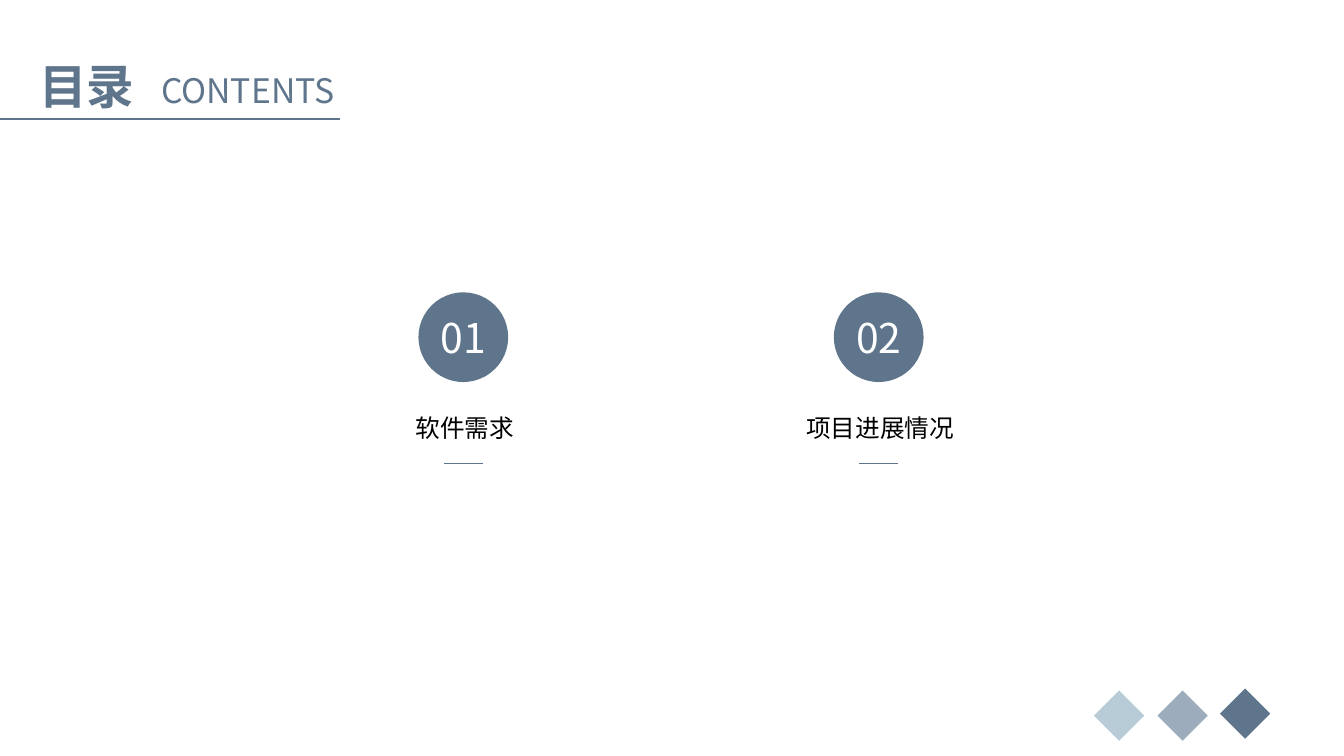
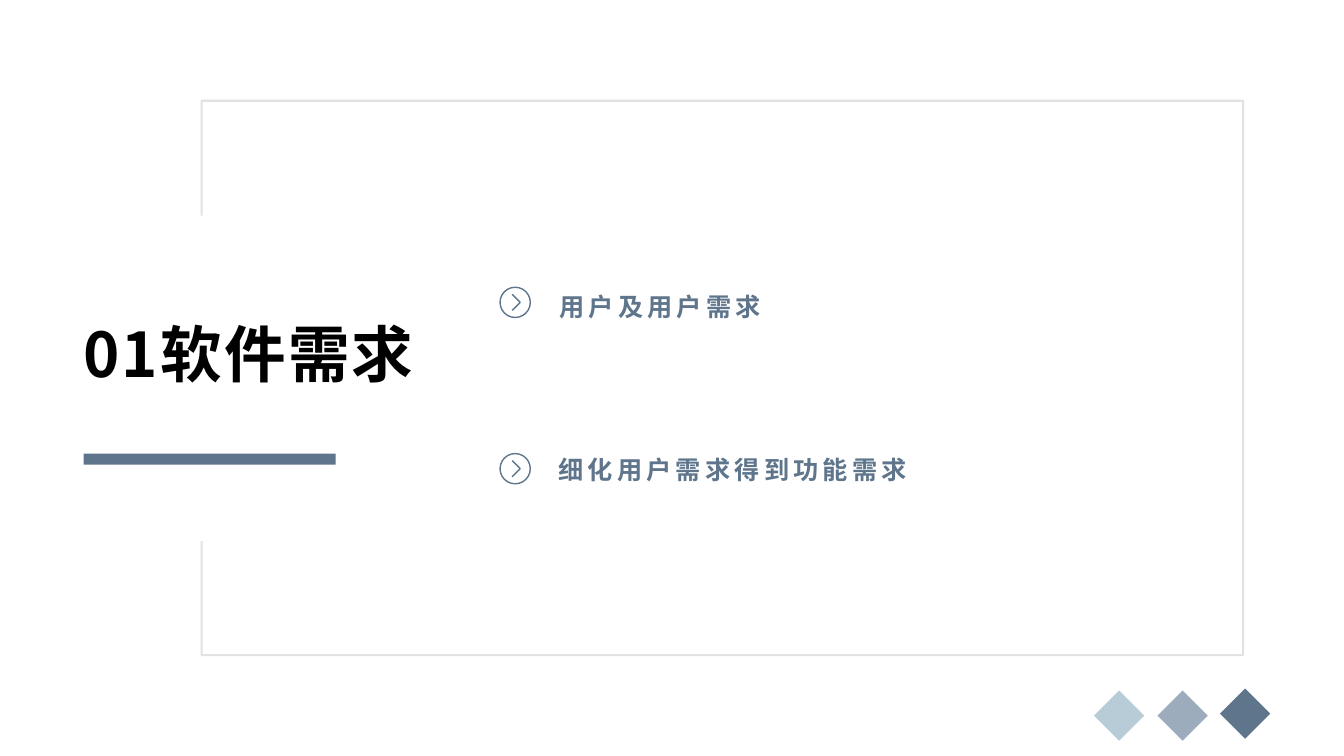
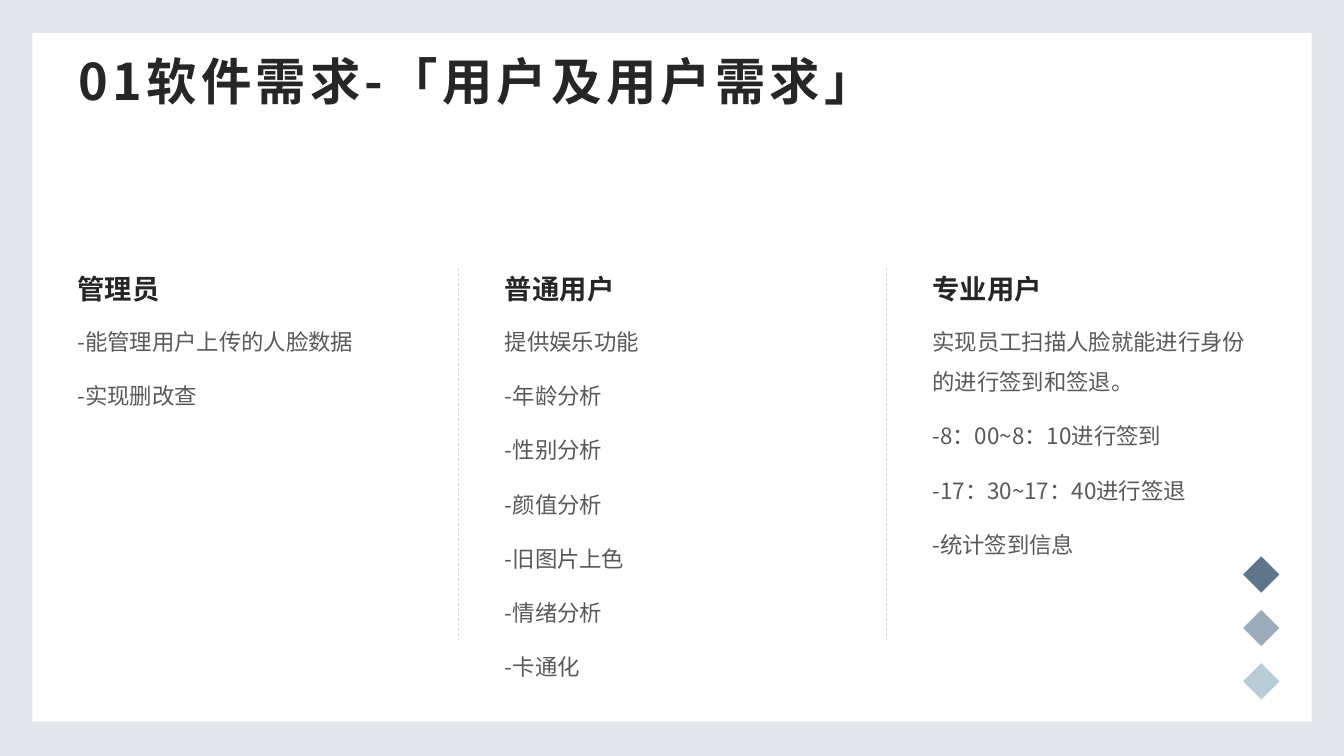
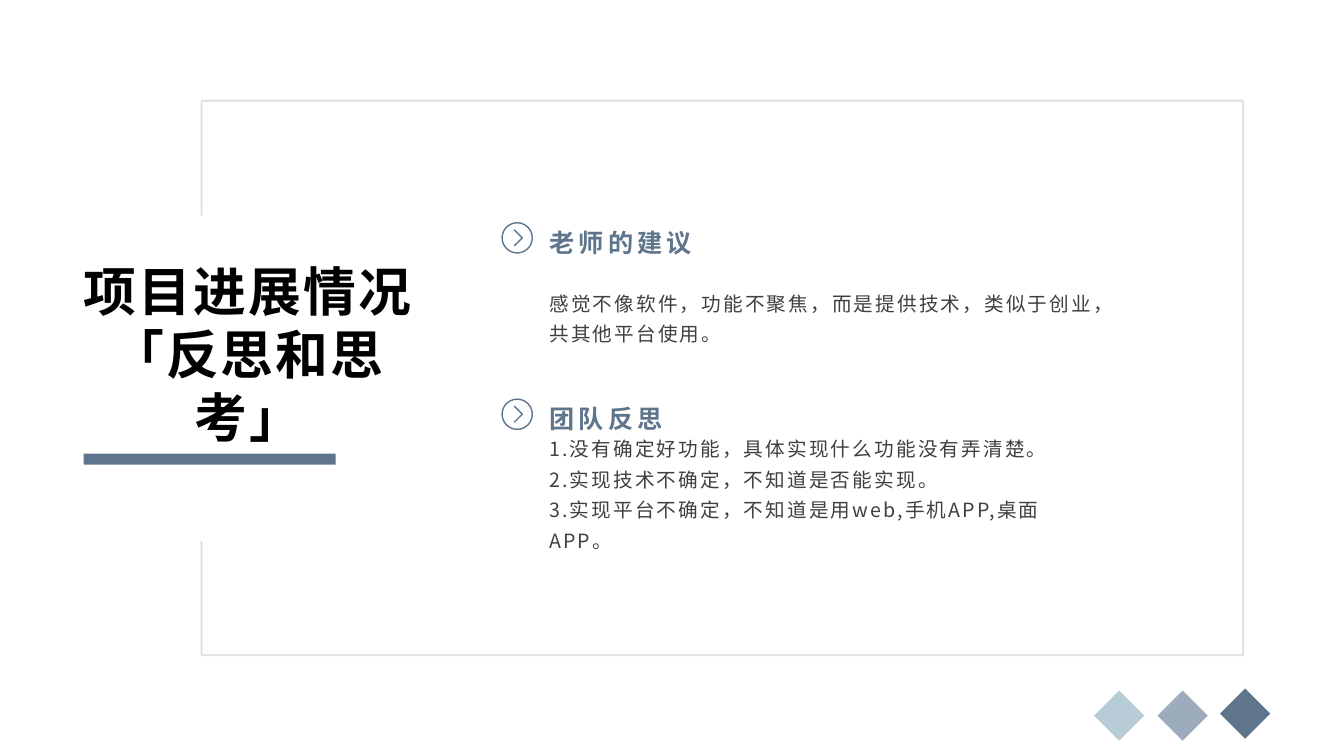
from lxml.etree import SubElement
from pptx import Presentation
from pptx.dml.color import RGBColor
from pptx.enum.dml import MSO_LINE
from pptx.enum.lang import MSO_LANGUAGE_ID
from pptx.enum.shapes import MSO_CONNECTOR, MSO_SHAPE
from pptx.enum.text import MSO_ANCHOR, PP_ALIGN
from pptx.oxml.ns import qn
from pptx.util import Pt

SCALE = 9144  # EMU per px, 100 px to the inch
FONT = "Noto Sans CJK SC"

COLOURS = {
    "slate": "5E758C",
    "mist": "9CACBC",
    "ice": "B7CCD6",
    "rule": "D9D9D9",
    "backdrop": "E2E6EA",
    "white": "FFFFFF",
    "black": "000000",
    "ink": "262626",
    "text": "404040",
    "soft": "595959",
}

# Font values, colour and letter spacing (hundredths of a point)
STYLES = {
    "contents": ({"size": Pt(34), "bold": True}, "slate", 0),
    "contents_latin": ({"size": Pt(24.1)}, "slate", 0),
    "number": ({"size": Pt(29.2)}, "white", 0),
    "label": ({"size": Pt(17.6)}, "black", 0),
    "section": ({"size": Pt(44), "bold": True}, "black", 160),
    "section_long": ({"size": Pt(37.7), "bold": True}, "black", 160),
    "point": ({"size": Pt(18), "bold": True}, "slate", 300),
    "detail": ({"size": Pt(14)}, "text", 150),
    "title": ({"size": Pt(36), "bold": True}, "ink", 300),
    "column_head": ({"size": Pt(19.5), "bold": True}, "ink", 0),
    "column_text": ({"size": Pt(16)}, "soft", 0),
}

CONTENTS = [("01", "软件需求"), ("02", "项目进展情况")]

COLUMNS = [
    ("管理员", ["-能管理用户上传的人脸数据", "-实现删改查"]),
    ("普通用户", ["提供娱乐功能", "-年龄分析", "-性别分析", "-颜值分析",
              "-旧图片上色", "-情绪分析", "-卡通化"]),
    ("专业用户", ["实现员工扫描人脸就能进行身份的进行签到和签退。",
              "-8：00~8：10进行签到", "-17：30~17：40进行签退",
              "-统计签到信息"]),
]

REFLECTIONS = [
    ("老师的建议",
     ["感觉不像软件，功能不聚焦，而是提供技术，类似于创业，共其他平台使用。"]),
    ("团队反思",
     ["1.没有确定好功能，具体实现什么功能没有弄清楚。",
      "2.实现技术不确定，不知道是否能实现。",
      "3.实现平台不确定，不知道是用web,手机APP,桌面APP。"]),
]


def px(*values):
    return [value * SCALE for value in values]


def colour(name):
    return RGBColor.from_string(COLOURS[name])


def add_page(deck, backdrop="white"):
    page = deck.slides.add_slide(deck.slide_layouts[6])
    page.background.fill.solid()
    page.background.fill.fore_color.rgb = colour(backdrop)
    return page


# Text

def write(shape, lines, style, align=PP_ALIGN.LEFT, anchor=MSO_ANCHOR.MIDDLE,
          insets=(10, 5), leading=1.0, gap=0):
    frame = shape.text_frame
    side, end = px(*insets)
    settings = {"word_wrap": True, "vertical_anchor": anchor,
                "margin_left": side, "margin_right": side,
                "margin_top": end, "margin_bottom": end}
    for name, value in settings.items():
        setattr(frame, name, value)
    font_values, colour_name, spacing = STYLES[style]
    for index, line in enumerate(lines):
        para = frame.add_paragraph() if index else frame.paragraphs[0]
        para.alignment = align
        para.line_spacing = leading
        para.space_before = Pt(gap if index else 0)
        span = para.add_run()
        span.text = line
        for name, value in font_values.items():
            setattr(span.font, name, value)
        span.font.name = FONT
        span.font.language_id = MSO_LANGUAGE_ID.SIMPLIFIED_CHINESE
        span.font.color.rgb = colour(colour_name)
        properties = span._r.get_or_add_rPr()
        SubElement(properties, qn("a:ea")).set("typeface", FONT)
        if spacing:
            properties.set("spc", str(spacing))


def add_text(page, place, lines, style, **layout):
    box = page.shapes.add_textbox(*px(*place))
    write(box, lines, style, **layout)


# Shapes and lines

def add_block(page, kind, place, fill):
    shape = page.shapes.add_shape(kind, *px(*place))
    shape.shadow.inherit = False
    shape.fill.solid()
    shape.fill.fore_color.rgb = colour(fill)
    shape.line.fill.background()
    return shape


def outline(shape, line_colour, weight):
    shape.shadow.inherit = False
    shape.fill.background()
    shape.line.color.rgb = colour(line_colour)
    shape.line.width = Pt(weight)


def add_outline(page, points, line_colour, weight):
    builder = page.shapes.build_freeform(*points[0], scale=SCALE)
    builder.add_line_segments(points[1:], close=False)
    shape = builder.convert_to_shape()
    outline(shape, line_colour, weight)
    return shape


def add_line(page, start, end, line_colour, weight, dash=None):
    line = page.shapes.add_connector(MSO_CONNECTOR.STRAIGHT,
                                     *px(*start, *end))
    line.line.color.rgb = colour(line_colour)
    line.line.width = Pt(weight)
    if dash:
        line.line.dash_style = dash
    SubElement(line._element.spPr, qn("a:effectLst"))


def add_diamonds(page, corners, size):
    for corner, fill in zip(corners, ("ice", "mist", "slate")):
        add_block(page, MSO_SHAPE.DIAMOND, (*corner, size, size), fill)


def add_corner_diamonds(page):
    add_diamonds(page, [(1085, 685), (1148, 685), (1210, 683)], 50)


# Elements of the section pages

def add_arrow_icon(page, left, top):
    ring = page.shapes.add_shape(MSO_SHAPE.OVAL, *px(left, top, 30, 30))
    outline(ring, "slate", 1)
    chevron = [(left + 12, top + 7), (left + 20, top + 15),
               (left + 12, top + 23)]
    add_outline(page, chevron, "slate", 1)


def add_point(page, icon, head, text):
    add_arrow_icon(page, *icon)
    add_text(page, (*head, 567, 50), [text], "point", leading=1.3)


def add_section_page(deck, title, style):
    page = add_page(deck)
    add_corner_diamonds(page)
    add_block(page, MSO_SHAPE.RECTANGLE, (83, 450, 250, 11), "slate")
    frame = add_outline(page, [(200, 214), (200, 100), (1233, 100),
                               (1233, 650), (200, 650), (200, 537)],
                        "rule", 1.5)
    tint = frame.line._ln.find(".//" + qn("a:srgbClr"))
    SubElement(tint, qn("a:alpha")).set("val", "75000")
    add_text(page, (67, 267, 359, 167), [title], style,
             align=PP_ALIGN.CENTER, insets=(7, 3))
    return page


# Pages

def build_contents(deck):
    page = add_page(deck)
    add_corner_diamonds(page)
    add_text(page, (29, 51, 120, 67), ["目录"], "contents")
    add_text(page, (150, 50, 210, 78), ["CONTENTS"], "contents_latin")
    add_line(page, (0, 118), (337, 118), "slate", 1)
    for index, (number, label) in enumerate(CONTENTS):
        left = 415 + 412 * index
        disc = add_block(page, MSO_SHAPE.OVAL, (left, 290, 89, 89), "slate")
        write(disc, [number], "number", align=PP_ALIGN.CENTER, insets=(0, 0))
        add_text(page, (left - 74, 404, 240, 41), [label], "label",
                 align=PP_ALIGN.CENTER)
        add_line(page, (left + 25, 460), (left + 64, 460), "slate", 1)


def build_requirements(deck):
    page = add_section_page(deck, "01软件需求", "section")
    add_point(page, (496, 285), (545, 275), "用户及用户需求")
    add_point(page, (496, 450), (544, 436), "细化用户需求得到功能需求")


def build_users(deck):
    page = add_page(deck, "backdrop")
    add_block(page, MSO_SHAPE.RECTANGLE, (32, 33, 1269, 683), "white")
    add_diamonds(page, [(1233, 658 - 53 * step) for step in range(3)], 36)
    add_text(page, (67, 41, 1200, 77), ["01软件需求-「用户及用户需求」"],
             "title", insets=(11, 4))
    for index, (head, lines) in enumerate(COLUMNS):
        left = 67 + 424 * index
        add_text(page, (left, 265, 351, 44), [head], "column_head",
                 anchor=MSO_ANCHOR.TOP)
        add_text(page, (left, 307, 351, 369), lines, "column_text",
                 anchor=MSO_ANCHOR.TOP, leading=1.5, gap=10)
        if index:
            add_line(page, (left - 36, 266), (left - 36, 635), "rule", 0.5,
                     MSO_LINE.DASH)


def build_reflections(deck):
    page = add_section_page(deck, "项目进展情况「反思和思考」", "section_long")
    for index, (head, lines) in enumerate(REFLECTIONS):
        top = 211 + 175 * index
        add_point(page, (498, top + 10), (535, top), head)
        add_text(page, (535, top + 50, 567, 103), lines, "detail",
                 leading=1.3)


def main():
    deck = Presentation()
    deck.slide_width, deck.slide_height = px(1333, 750)
    build_contents(deck)
    build_requirements(deck)
    build_users(deck)
    build_reflections(deck)
    deck.save("out.pptx")


if __name__ == "__main__":
    main()
